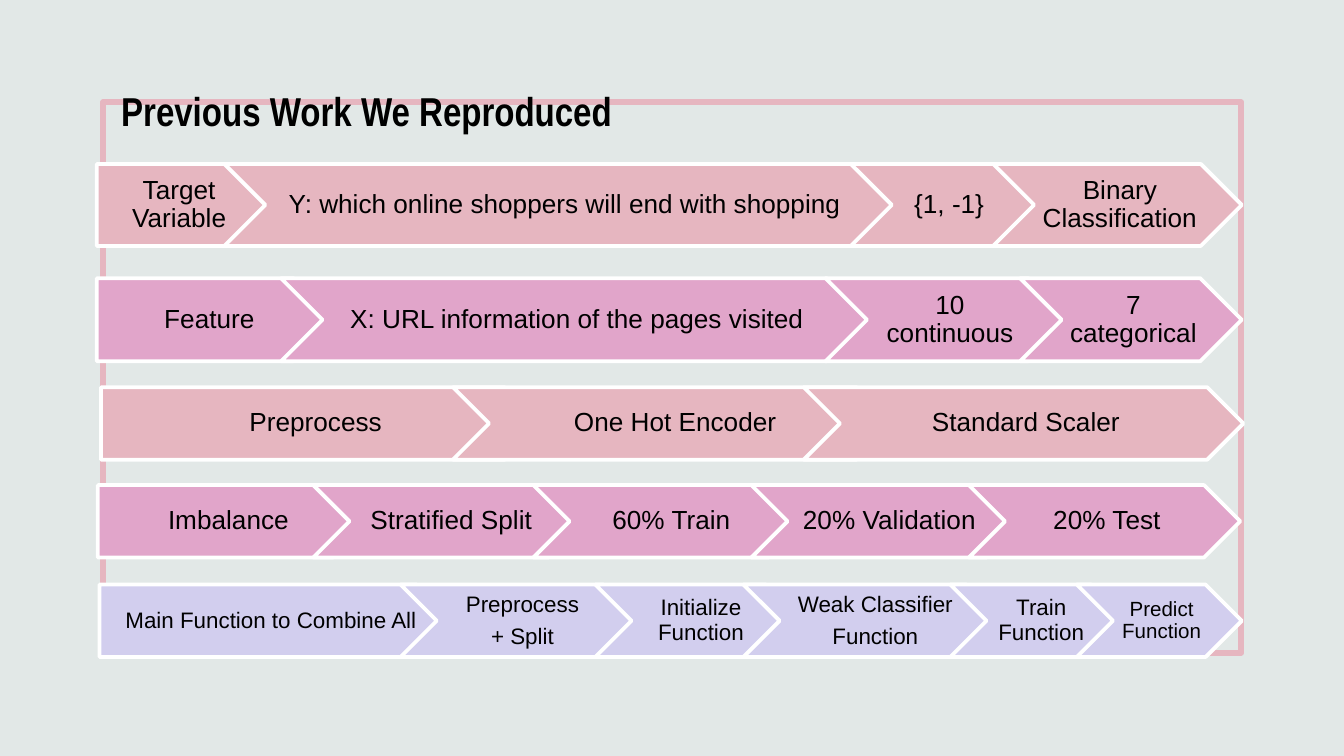
from pptx import Presentation
from pptx.dml.color import RGBColor
from pptx.enum.shapes import MSO_SHAPE
from pptx.enum.text import MSO_ANCHOR, MSO_AUTO_SIZE, PP_ALIGN
from pptx.util import Cm, Pt

RECTANGLE, PENTAGON, CHEVRON = MSO_SHAPE.RECTANGLE, MSO_SHAPE.PENTAGON, MSO_SHAPE.CHEVRON
MIDDLE, BOTTOM = MSO_ANCHOR.MIDDLE, MSO_ANCHOR.BOTTOM
LEFT, CENTER = PP_ALIGN.LEFT, PP_ALIGN.CENTER
NO_AUTOFIT = MSO_AUTO_SIZE.NONE

BACKGROUND, WHITE, BLACK = "E2E8E7", "FFFFFF", "000000"
ROSE, PINK, LAVENDER = "E6B6C0", "E1A5CA", "D2CEEE"


def color(hex_string):
    return RGBColor.from_string(hex_string)


def set_text(shape, lines, font, size, alignment, anchor, line_spacing, insets):
    """Write one paragraph per line; insets are left, top, right, bottom in cm."""
    frame = shape.text_frame
    frame.text = "\n".join(lines)
    frame.word_wrap = True
    frame.auto_size = NO_AUTOFIT
    frame.vertical_anchor = anchor
    frame.margin_left, frame.margin_top, frame.margin_right, frame.margin_bottom = map(Cm, insets)
    for index, paragraph in enumerate(frame.paragraphs):
        paragraph.alignment = alignment
        paragraph.line_spacing = line_spacing
        paragraph.space_before = Pt(4.2 if index else 0)
        paragraph.font.name = font
        paragraph.font.size = Pt(size)
        paragraph.font.color.rgb = color(BLACK)


presentation = Presentation()
presentation.slide_width = Cm(25.4)
presentation.slide_height = Cm(14.29)
slide = presentation.slides.add_slide(presentation.slide_layouts[5])
slide.background.fill.solid()
slide.background.fill.fore_color.rgb = color(BACKGROUND)

# Title
title = slide.shapes.title
title.left, title.top, title.width, title.height = Cm(2.11), Cm(1.24), Cm(17.45), Cm(1.4)
set_text(title, ["Previous Work We Reproduced"], "Arial Narrow", 21.6, LEFT, BOTTOM, 1.2,
         (0.18, 0.1, 0.18, 0.1))
title.text_frame.paragraphs[0].font.bold = True

# Border, placed behind the title
border = slide.shapes.add_shape(RECTANGLE, Cm(1.95), Cm(1.93), Cm(21.51), Cm(10.41))
border.shadow.inherit = False
border.fill.background()
border.line.color.rgb = color(ROSE)
border.line.width = Pt(3)
title.element.addprevious(border.element)

# Process rows: top, height, fill, steps as (left, width, font size, lines)
rows = [
    (3.1, 1.55, ROSE, [
        (1.83, 3.35, 14, ["Target Variable"]),
        (4.24, 12.78, 14, ["Y: which online shoppers will end with shopping"]),
        (16.08, 3.63, 14, ["{1, -1}"]),
        (18.77, 4.7, 14, ["Binary Classification"]),
    ]),
    (5.26, 1.57, PINK, [
        (1.83, 4.5, 14, ["Feature"]),
        (5.31, 11.1, 14, ["X: URL information of the pages visited"]),
        (15.6, 4.62, 14, ["10 continuous"]),
        (19.28, 4.19, 14, ["7 categorical"]),
    ]),
    (7.32, 1.37, ROSE, [
        (1.91, 8.31, 14, ["Preprocess"]),
        (8.56, 8.31, 14, ["One Hot Encoder"]),
        (15.19, 8.31, 14, ["Standard Scaler"]),
    ]),
    (9.17, 1.37, PINK, [
        (1.85, 5.13, 14, ["Imbalance"]),
        (5.92, 5.13, 14, ["Stratified Split"]),
        (10.08, 5.13, 14, ["60% Train"]),
        (14.2, 5.13, 14, ["20% Validation"]),
        (18.31, 5.13, 14, ["20% Test"]),
    ]),
    (11.05, 1.37, LAVENDER, [
        (1.88, 6.68, 12, ["Main Function to Combine All"]),
        (7.57, 4.52, 12, ["Preprocess", "+ Split"]),
        (11.25, 3.91, 12, ["Initialize Function"]),
        (14.05, 4.9, 12, ["Weak Classifier", "Function"]),
        (17.96, 3.35, 12, ["Train Function"]),
        (20.35, 3.12, 11, ["Predict Function"]),
    ]),
]

for top, height, fill, steps in rows:
    group = slide.shapes.add_group_shape()
    for index, (left, width, size, lines) in enumerate(steps):
        step = group.shapes.add_shape(CHEVRON if index else PENTAGON,
                                      Cm(left), Cm(top), Cm(width), Cm(height))
        step.shadow.inherit = False
        step.fill.solid()
        step.fill.fore_color.rgb = color(fill)
        step.line.color.rgb = color(WHITE)
        step.line.width = Pt(2)
        left_inset = 0.14 if index else 0.2
        set_text(step, lines, "Arial", size, CENTER, MIDDLE, 0.9, (left_inset, 0.08, 0.05, 0.08))

presentation.save("out.pptx")
